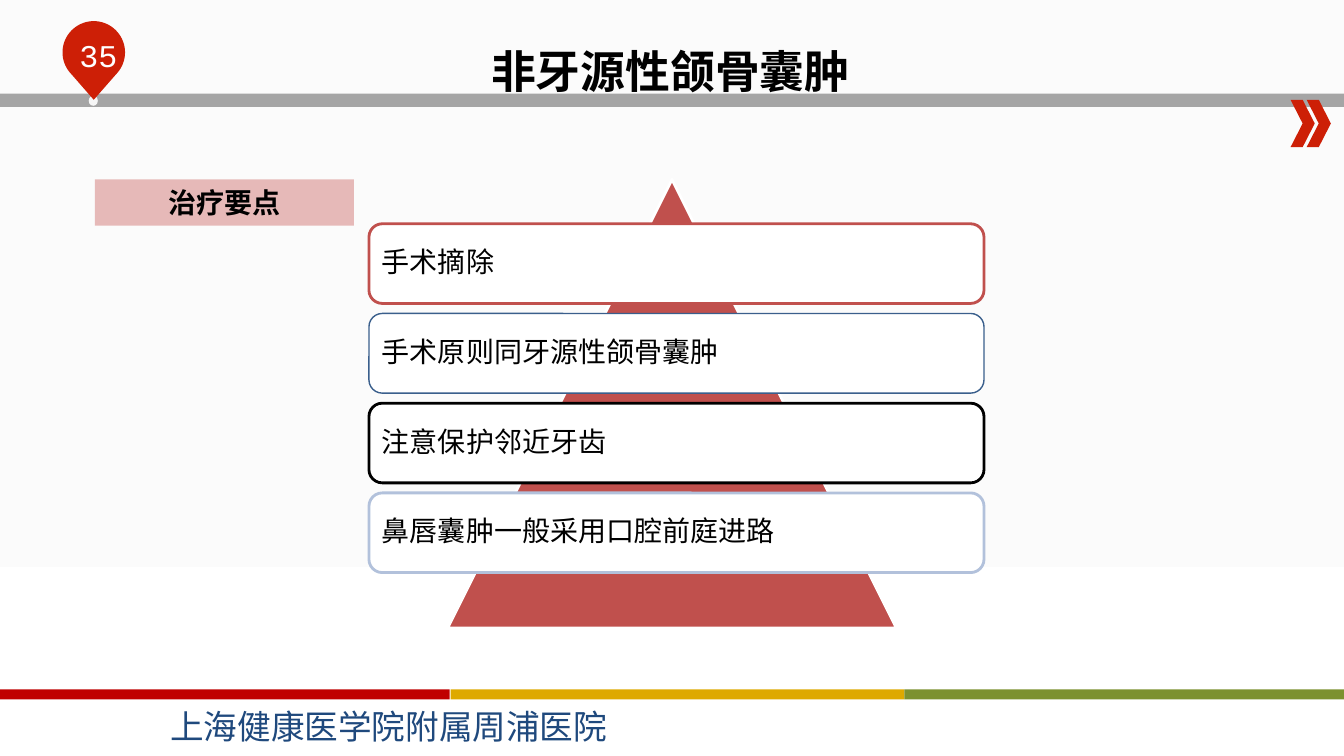
from dataclasses import dataclass
from math import cos, radians, sin

from pptx import Presentation
from pptx.dml.color import RGBColor
from pptx.enum.shapes import MSO_SHAPE
from pptx.enum.text import MSO_ANCHOR, MSO_AUTO_SIZE, PP_ALIGN
from pptx.oxml.ns import qn
from pptx.oxml.xmlchemy import OxmlElement
from pptx.util import Inches, Pt

HEX = {
    "page": "FBFBFB", "edge": "FCFCFC", "white": "FFFFFF", "black": "000000",
    "gray": "A5A5A5", "red": "CD1F06", "dot": "F6F6F6", "navy": "1F497D",
    "brick": "C0504D", "blue": "3A5F8C", "pale": "B2C1DB", "pink": "E6B9B8",
    "crimson": "C00000", "gold": "DEA900", "green": "7C912F",
}
SERIF, SANS, MONO = "Times New Roman", "Noto Sans CJK SC", "Courier New"


@dataclass
class Block:
    kind: MSO_SHAPE
    left: float
    top: float
    width: float
    height: float
    fill: str


@dataclass
class Step:
    text: str
    line: str
    weight: float


BLOCKS = [
    Block(MSO_SHAPE.RECTANGLE, 0, 0.93, 13.33, 0.13, "gray"),
    Block(MSO_SHAPE.CHEVRON, 12.8, 0.99, 0.24, 0.47, "red"),
    Block(MSO_SHAPE.CHEVRON, 12.96, 0.99, 0.24, 0.47, "red"),
    Block(MSO_SHAPE.OVAL, 0.88, 0.95, 0.09, 0.1, "dot"),
    Block(MSO_SHAPE.RECTANGLE, 0, 6.84, 4.46, 0.1, "crimson"),
    Block(MSO_SHAPE.RECTANGLE, 4.47, 6.84, 4.5, 0.1, "gold"),
    Block(MSO_SHAPE.RECTANGLE, 8.97, 6.84, 4.36, 0.1, "green"),
]
STEPS = [
    Step("手术摘除", "brick", 2),
    Step("手术原则同牙源性颌骨囊肿", "blue", 1),
    Step("注意保护邻近牙齿", "black", 2),
    Step("鼻唇囊肿一般采用口腔前庭进路", "pale", 2),
]


def color(key: str) -> RGBColor:
    return RGBColor.from_string(HEX[key])


def paint(shape, fill: str, line: str = "", weight: float = 1) -> None:
    shape.shadow.inherit = False
    shape.fill.solid()
    shape.fill.fore_color.rgb = color(fill)
    if line:
        shape.line.color.rgb = color(line)
        shape.line.width = Pt(weight)
    else:
        shape.line.fill.background()


def draw(slide, block: Block, line: str = "", weight: float = 1):
    shape = slide.shapes.add_shape(
        block.kind, Inches(block.left), Inches(block.top),
        Inches(block.width), Inches(block.height))
    paint(shape, block.fill, line, weight)
    return shape


def write(shape, text: str, *, size: float = 20, font: str = SERIF,
          ink: str = "black", bold: bool = False, align=PP_ALIGN.LEFT,
          anchor=MSO_ANCHOR.MIDDLE, wrap: bool = True, space: float = 1,
          inset: tuple = (0.1, 0.05), grow: bool = False) -> None:
    frame = shape.text_frame
    frame.word_wrap = wrap
    frame.auto_size = MSO_AUTO_SIZE.SHAPE_TO_FIT_TEXT if grow else MSO_AUTO_SIZE.NONE
    frame.vertical_anchor = anchor
    frame.margin_left = frame.margin_right = Inches(inset[0])
    frame.margin_top = frame.margin_bottom = Inches(inset[1])
    para = frame.paragraphs[0]
    para.alignment = align
    para.line_spacing = space
    run = para.add_run()
    run.text = text
    run.font.size = Pt(size)
    run.font.bold = bold
    run.font.color.rgb = color(ink)
    run.font.name = font
    asian = OxmlElement("a:ea")
    asian.set("typeface", SANS)
    run.font._element.append(asian)


def add_text(slide, left: float, top: float, width: float, height: float,
             text: str, **form) -> None:
    box = slide.shapes.add_textbox(
        Inches(left), Inches(top), Inches(width), Inches(height))
    write(box, text, **form)


def shade(slide) -> None:
    fill = slide.background.fill
    fill.gradient()
    fill.gradient_angle = 270
    stops = slide.element.find(".//" + qn("a:gsLst"))
    for stop in list(stops):
        stops.remove(stop)
    for place, key in ((0, "page"), (50, "page"), (100, "white"), (100, "edge")):
        stop = OxmlElement("a:gs")
        stop.set("pos", str(place * 1000))
        tone = OxmlElement("a:srgbClr")
        tone.set("val", HEX[key])
        stop.append(tone)
        stops.append(stop)


def add_pin(slide, mid: float, top: float, radius: float, tip: float) -> None:
    # Freeform points are whole EMU, as Inches gives them
    turns = [radians(45 - step) for step in range(0, 271, 5)]
    points = [(Inches(mid + radius * cos(turn)),
               Inches(top + radius + radius * sin(turn))) for turn in turns]
    maker = slide.shapes.build_freeform(Inches(mid), Inches(tip))
    maker.add_line_segments(points, close=True)
    paint(maker.convert_to_shape(), "red")


def add_step(slide, step: Step, top: float) -> None:
    box = draw(slide, Block(MSO_SHAPE.ROUNDED_RECTANGLE, 3.66, top, 6.1, 0.79,
                            "white"), step.line, step.weight)
    write(box, step.text, space=0.9, inset=(0.09, 0.08))


def main() -> None:
    deck = Presentation()
    deck.slide_width, deck.slide_height = Inches(13.33), Inches(7.5)
    slide = deck.slides.add_slide(deck.slide_layouts[5])
    shade(slide)

    # Header and footer
    for block in BLOCKS:
        draw(slide, block)
    add_pin(slide, 0.93, 0.21, 0.31, 0.99)
    add_text(slide, 0.54, 0.31, 0.87, 0.5, "35", size=22.6, font=MONO,
             ink="white", align=PP_ALIGN.CENTER, anchor=MSO_ANCHOR.TOP)
    add_text(slide, 1.59, 6.95, 4.53, 0.5, "上海健康医学院附属周浦医院", size=24,
             font=SANS, ink="navy", anchor=MSO_ANCHOR.TOP, wrap=False, grow=True)

    # Pyramid with treatment steps
    draw(slide, Block(MSO_SHAPE.ISOSCELES_TRIANGLE, 4.44, 1.78, 4.45, 4.45,
                      "brick"), "white", 2)
    for rank, step in enumerate(STEPS):
        add_step(slide, step, 2.22 + 0.89 * rank)

    # Label
    label = draw(slide, Block(MSO_SHAPE.RECTANGLE, 0.94, 1.78, 2.57, 0.46, "pink"))
    write(label, "治疗要点", bold=True, align=PP_ALIGN.CENTER, inset=(0.12, 0))

    # Title
    title = slide.shapes.title
    title.left, title.top = Inches(4.77), Inches(0.12)
    title.width, title.height = Inches(3.79), Inches(0.91)
    write(title, "非牙源性颌骨囊肿", size=32, bold=True, wrap=False, space=1.5,
          anchor=MSO_ANCHOR.TOP, grow=True)

    deck.save("out.pptx")


if __name__ == "__main__":
    main()
